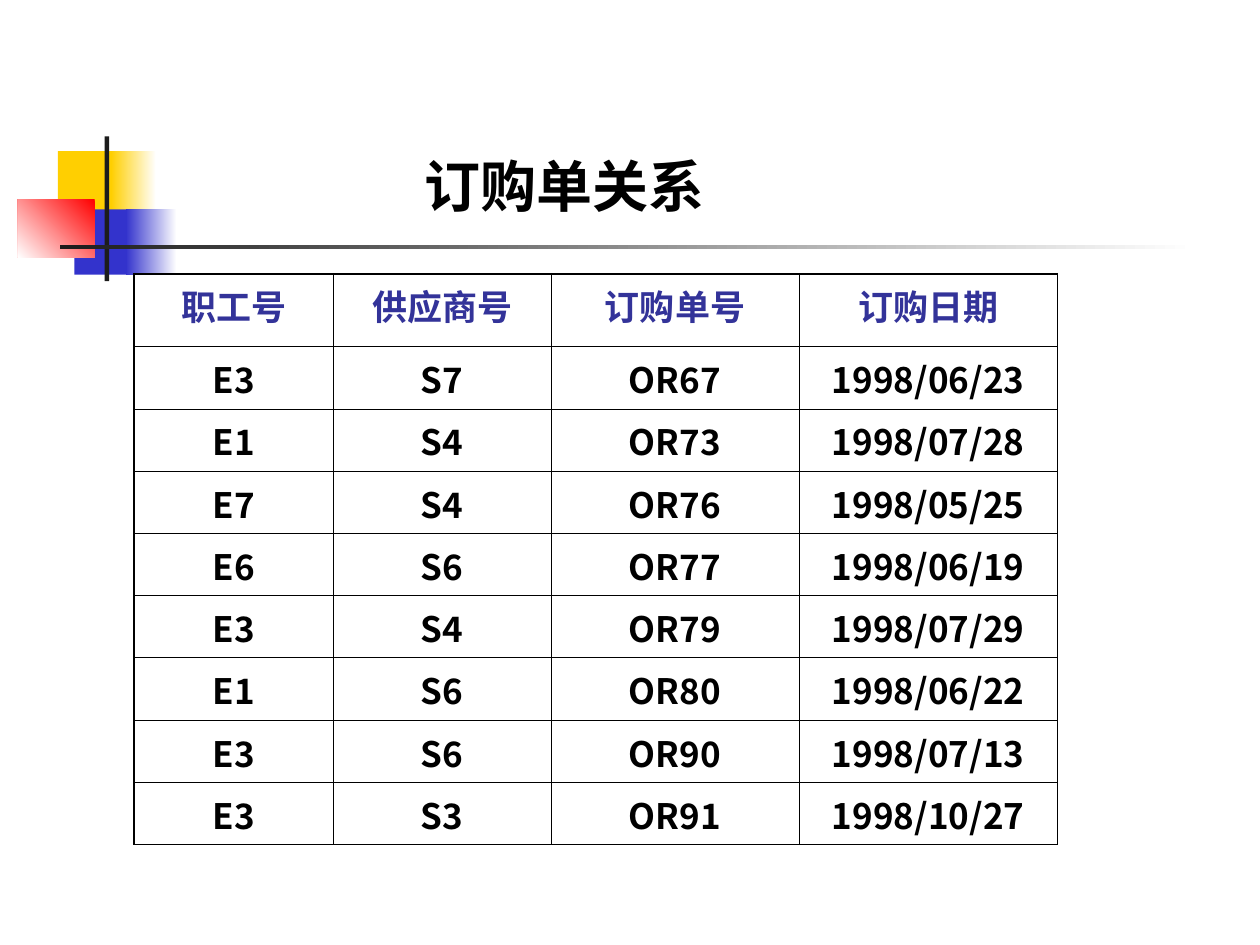
from dataclasses import dataclass

from lxml.etree import SubElement
from pptx import Presentation
from pptx.dml.color import RGBColor
from pptx.enum.shapes import MSO_SHAPE
from pptx.enum.text import MSO_AUTO_SIZE, PP_ALIGN
from pptx.oxml.ns import qn
from pptx.util import Cm, Pt


@dataclass(frozen=True)
class Theme:
    yellow: str = "FFCF01"
    blue: str = "3333CC"
    red: str = "FF0000"
    dark: str = "1C1C1C"
    white: str = "FFFFFF"
    black: str = "000000"
    header: str = "333399"
    title_size: float = 32
    table_size: float = 20
    latin: str = "Times New Roman"
    cjk: str = "Noto Sans CJK SC"
    outer_line: float = 1.08
    inner_line: float = 0.45


THEME = Theme()
ROWS = [
    ("职工号", "供应商号", "订购单号", "订购日期"),
    ("E3", "S7", "OR67", "1998/06/23"),
    ("E1", "S4", "OR73", "1998/07/28"),
    ("E7", "S4", "OR76", "1998/05/25"),
    ("E6", "S6", "OR77", "1998/06/19"),
    ("E3", "S4", "OR79", "1998/07/29"),
    ("E1", "S6", "OR80", "1998/06/22"),
    ("E3", "S6", "OR90", "1998/07/13"),
    ("E3", "S3", "OR91", "1998/10/27"),
]


def add_run(p, text, size, color, latin):
    r = p.add_run()
    r.text = text
    r.font.size = Pt(size)
    r.font.bold = True
    r.font.name = latin
    r.font.color.rgb = RGBColor.from_string(color)
    SubElement(r.font._element, qn("a:ea"), typeface=THEME.cjk)


def add_block(s, box, colors, angle=180):
    sp = s.shapes.add_shape(MSO_SHAPE.RECTANGLE, *map(Cm, box))
    sp.shadow.inherit = False
    sp.line.fill.background()
    if len(colors) == 1:
        sp.fill.solid()
        sp.fill.fore_color.rgb = RGBColor.from_string(colors[0])
        return
    sp.fill.gradient()
    sp.fill.gradient_angle = angle
    for stop, color in zip(sp.fill.gradient_stops, colors):
        stop.color.rgb = RGBColor.from_string(color)


def add_ornament(s, left, top, width):
    t = THEME
    blocks = [
        (0.81, 0.3, 1.22, 1.32, (t.yellow,), 180),
        (1.88, 0.3, 0.91, 1.32, (t.white, t.yellow), 180),
        (1.14, 1.47, 1.17, 1.32, (t.blue,), 180),
        (2.18, 1.47, 1.02, 1.32, (t.white, t.blue), 180),
        (0, 1.27, 1.55, 1.17, (t.red, t.white), 225),
        (1.75, 0, 0.09, 2.92, (t.dark,), 180),
        (0.86, 2.19, width - 0.86, 0.09, (t.white, t.dark), 180),
    ]
    for x, y, w, h, colors, angle in blocks:
        add_block(s, (left + x, top + y, w, h), colors, angle)


def add_title(s, left, top, width, height):
    tb = s.shapes.add_textbox(Cm(left), Cm(top), Cm(width), Cm(height))
    tf = tb.text_frame
    tf.word_wrap = True
    tf.auto_size = MSO_AUTO_SIZE.SHAPE_TO_FIT_TEXT
    add_run(tf.paragraphs[0], "订购单关系", THEME.title_size, THEME.black, THEME.latin)


def set_borders(cell, outer_sides):
    tcPr = cell._tc.get_or_add_tcPr()
    for side in "LRTB":
        width = THEME.outer_line if side in outer_sides else THEME.inner_line
        ln = SubElement(tcPr, qn(f"a:ln{side}"), w=str(int(Pt(width))))
        fill = SubElement(ln, qn("a:solidFill"))
        SubElement(fill, qn("a:srgbClr"), val=THEME.black)


def add_order_table(s, left, top, widths, height, header_height):
    frame = s.shapes.add_table(len(ROWS), len(widths), Cm(left), Cm(top),
                               Cm(sum(widths)), Cm(height))
    table = frame.table
    table.first_row = table.horz_banding = False
    for col, width in zip(table.columns, widths):
        col.width = Cm(width)
    body_height = (height - header_height) / (len(ROWS) - 1)
    last_row, last_col = len(ROWS) - 1, len(widths) - 1
    for i, values in enumerate(ROWS):
        table.rows[i].height = Cm(body_height if i else header_height)
        for j, value in enumerate(values):
            cell = table.cell(i, j)
            edges = {"L": j == 0, "R": j == last_col, "T": i == 0, "B": i == last_row}
            set_borders(cell, [side for side, outer in edges.items() if outer])
            cell.fill.background()
            cell.margin_bottom = Cm(0.09)
            p = cell.text_frame.paragraphs[0]
            p.alignment = PP_ALIGN.CENTER
            p.space_before = Pt(5)
            add_run(p, value, THEME.table_size, THEME.black if i else THEME.header, THEME.cjk)


def main():
    prs = Presentation()
    prs.slide_width, prs.slide_height = Cm(25.4), Cm(19.05)
    s = prs.slides.add_slide(prs.slide_layouts[6])
    add_ornament(s, 0.36, 2.75, 23.73)
    add_order_table(s, 2.7, 5.52, (4.02, 4.39, 5, 5.21), 11.51, 1.47)
    add_title(s, 8.3, 2.92, 6.4, 1.63)
    prs.save("out.pptx")


if __name__ == "__main__":
    main()
